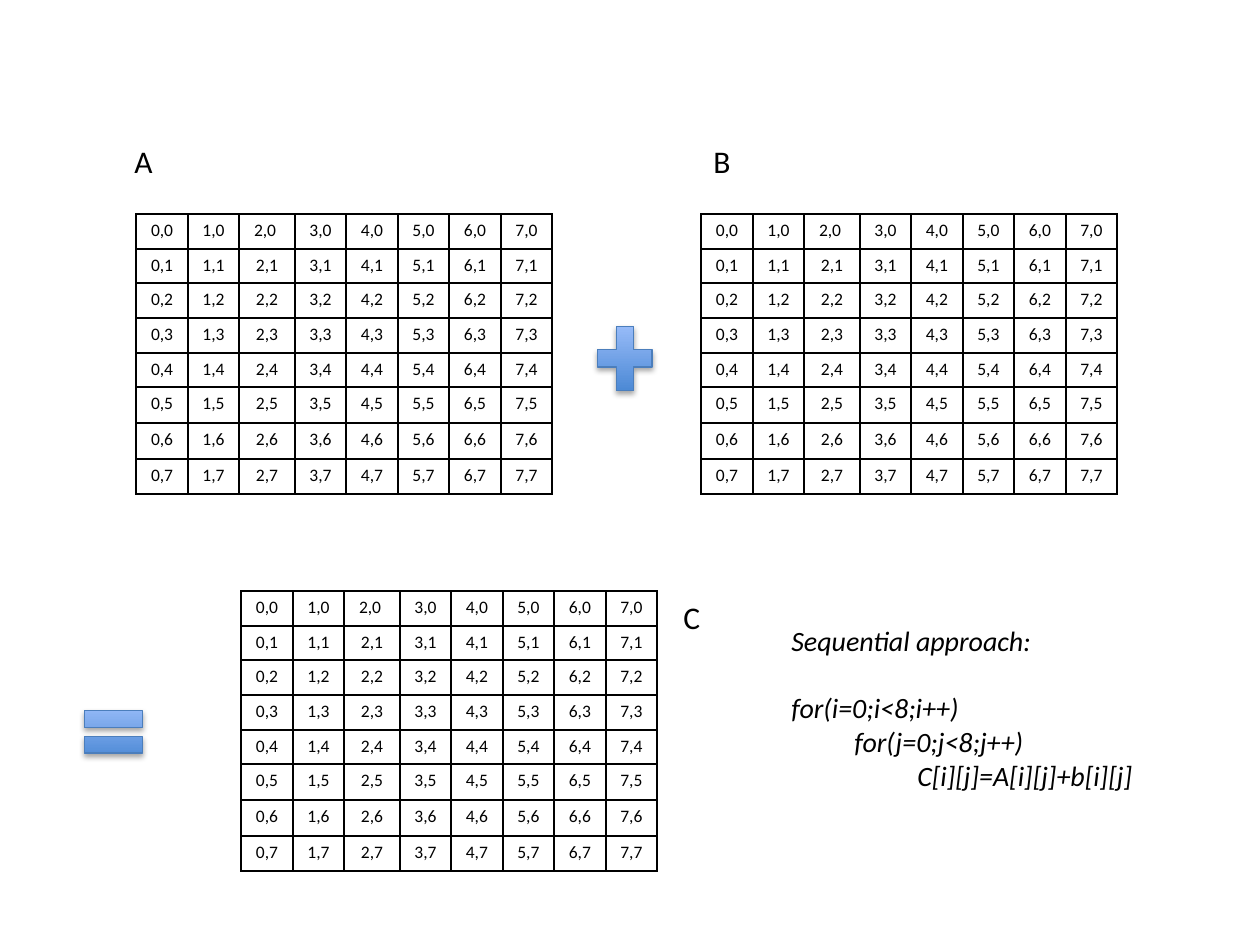
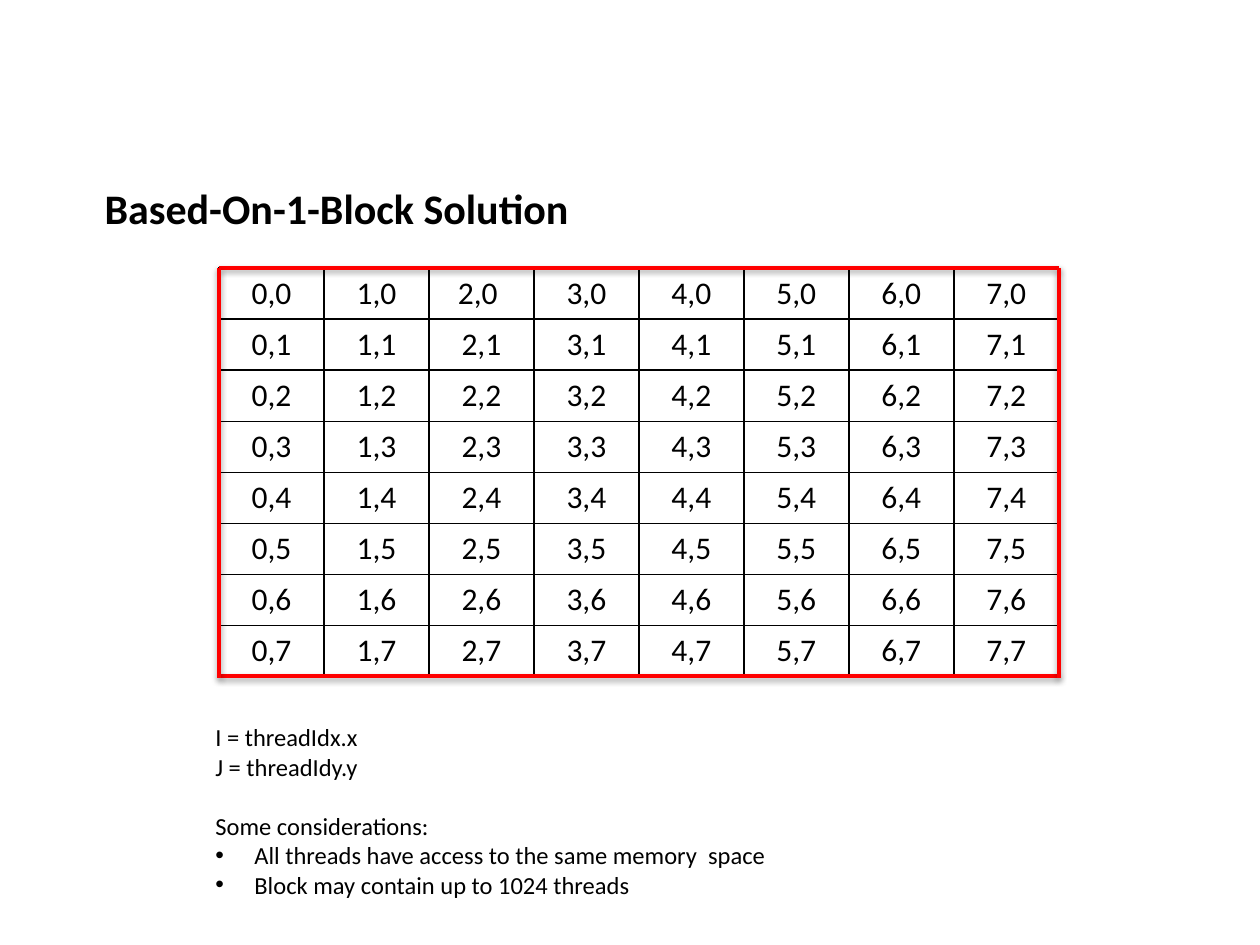
from lxml import etree
from pptx import Presentation
from pptx.dml.color import RGBColor
from pptx.enum.shapes import MSO_CONNECTOR, MSO_SHAPE
from pptx.enum.text import MSO_ANCHOR, MSO_AUTO_SIZE, PP_ALIGN
from pptx.oxml.ns import qn
from pptx.util import Emu, Pt

STRAIGHT = MSO_CONNECTOR.STRAIGHT
PLUS, EQUAL = MSO_SHAPE.MATH_PLUS, MSO_SHAPE.MATH_EQUAL
TOP = MSO_ANCHOR.TOP
NO_FIT = MSO_AUTO_SIZE.NONE
LEFT, CENTER = PP_ALIGN.LEFT, PP_ALIGN.CENTER

EMU_PER_PX = 914400 / 126
FONT = "Calibri"
BLACK, RED = "000000", "FF0000"
SIGN_DARK, SIGN_LIGHT, SIGN_EDGE = "3F80CE", "A4C4FF", "4B7EBC"

TITLE_ONLY, BLANK = 5, 6
SIZE = 8
SMALL_COLUMNS = [52, 51, 56, 51, 52, 51, 52, 51]
SMALL_ROWS = [35, 34, 35, 35, 34, 36, 36, 35]
LARGE_COLUMNS, LARGE_ROWS = [105] * SIZE, [51] * SIZE
TAB, BULLET_INDENT = 63, 39

CODE = ["Sequential approach:", "for(i=0;i<8;i++)", "\tfor(j=0;j<8;j++)",
        "\t\tC[i][j]=A[i][j]+b[i][j]"]
NOTES = ["I = threadIdx.x", "J = threadIdy.y", "Some considerations:"]
BULLETS = ["All threads have access to the same memory  space",
           "Block may contain up to 1024 threads"]


def px(length):
    return Emu(round(length * EMU_PER_PX))


def color(hex_string):
    return RGBColor.from_string(hex_string)


def add_element(parent, tag, **attributes):
    element = etree.SubElement(parent, qn(tag))
    for name, value in attributes.items():
        element.set(name, str(value))
    return element


def style(para, size, bold=False, italic=False):
    font = para.font
    font.name, font.size = FONT, Pt(size)
    font.bold, font.italic = bold, italic
    font.color.rgb = color(BLACK)


def add_shadow(shape, opacity, distance):
    effects = add_element(shape._element.spPr, "a:effectLst")
    shadow = add_element(effects, "a:outerShdw", blurRad=40000, dist=distance,
                         dir=5400000, rotWithShape=0)
    tint = add_element(shadow, "a:srgbClr", val=BLACK)
    add_element(tint, "a:alpha", val=opacity * 1000)


def add_text(page, box, lines):
    """Add a text box and return its paragraphs, one for each line."""
    frame = page.shapes.add_textbox(*map(px, box)).text_frame
    frame.word_wrap = True
    for index, line in enumerate(lines):
        para = frame.paragraphs[0] if index == 0 else frame.add_paragraph()
        para.add_run().text = line
    return frame.paragraphs


def add_cell_borders(cell):
    properties = cell._tc.get_or_add_tcPr()
    for side in ("a:lnL", "a:lnR", "a:lnT", "a:lnB"):
        border = add_element(properties, side, w=Pt(1))
        fill = add_element(border, "a:solidFill")
        add_element(fill, "a:srgbClr", val=BLACK)


def add_matrix(page, left, top, columns, rows, size):
    """Add a grid whose cells show their own column and row."""
    table = page.shapes.add_table(SIZE, SIZE, px(left), px(top),
                                  px(sum(columns)), px(sum(rows))).table
    table.first_row = table.horz_banding = False
    for column, width in zip(table.columns, columns):
        column.width = px(width)
    for y, height in enumerate(rows):
        table.rows[y].height = px(height)
        for x in range(SIZE):
            cell = table.cell(y, x)
            # The cell 2,0 carries a trailing space
            cell.text = "2,0 " if (x, y) == (2, 0) else f"{x},{y}"
            para = cell.text_frame.paragraphs[0]
            para.alignment = CENTER
            style(para, size)
            add_cell_borders(cell)
            cell.fill.background()


def add_sign(page, kind, box):
    sign = page.shapes.add_shape(kind, *map(px, box))
    sign.fill.gradient()
    sign.fill.gradient_angle = 90
    for stop, shade in zip(sign.fill.gradient_stops, (SIGN_DARK, SIGN_LIGHT)):
        stop.color.rgb = color(shade)
    for stop, position in zip(sign.fill.gradient_stops, (0, 1)):
        stop.position = position
    sign.line.color.rgb = color(SIGN_EDGE)
    sign.line.width = Pt(0.75)
    add_shadow(sign, 35, 23000)


def add_frame(page, left, top, width, height):
    """Outline a box with four red lines."""
    right, bottom = left + width, top + height
    for ends in ((left, top, right, top), (left, bottom, right, bottom),
                 (right, top, right, bottom + 2), (left, top, left, bottom + 2)):
        edge = page.shapes.add_connector(STRAIGHT, *map(px, ends))
        edge.line.color.rgb = color(RED)
        edge.line.width = Pt(2)
        add_shadow(edge, 38, 20000)


def add_code(page, box):
    paras = add_text(page, box, CODE)
    for para in paras:
        tabs = add_element(para._p.get_or_add_pPr(), "a:tabLst")
        for level in (1, 2):
            add_element(tabs, "a:tab", pos=px(TAB * level), algn="l")
        style(para, 16, italic=True)
    paras[1].space_before = Pt(19.5)


def add_notes(page, box):
    paras = add_text(page, box, NOTES + BULLETS)
    for para in paras[len(NOTES):]:
        properties = para._p.get_or_add_pPr()
        properties.set("marL", str(px(BULLET_INDENT)))
        properties.set("indent", str(px(-BULLET_INDENT)))
        add_element(properties, "a:buFont", typeface="Arial")
        add_element(properties, "a:buChar", char="•")
    for para in paras:
        style(para, 14)
    paras[2].space_before = Pt(17)


def set_title(page, text, box):
    title = page.shapes.title
    title.left, title.top, title.width, title.height = map(px, box)
    frame = title.text_frame
    frame.text = text
    frame.vertical_anchor, frame.auto_size = TOP, NO_FIT
    frame.paragraphs[0].alignment = LEFT
    style(frame.paragraphs[0], 24, bold=True)


def build_addition(deck):
    page = deck.slides.add_slide(deck.slide_layouts[BLANK])
    # Matrices
    for left, top in ((136, 214), (701, 214), (241, 591)):
        add_matrix(page, left, top, SMALL_COLUMNS, SMALL_ROWS, 10)
    # Signs
    add_sign(page, PLUS, (588, 315, 74, 87))
    add_sign(page, EQUAL, (74, 696, 79, 72))
    # Matrix names
    for name, left, top in (("A", 122, 136), ("B", 701, 136), ("C", 671, 592)):
        style(add_text(page, (left, top, 95, 50), [name])[0], 18)
    add_code(page, (779, 617, 426, 183))


def build_one_block(deck):
    page = deck.slides.add_slide(deck.slide_layouts[TITLE_ONLY])
    set_title(page, "Based-On-1-Block Solution", (92, 176, 1031, 63))
    add_matrix(page, 219, 268, LARGE_COLUMNS, LARGE_ROWS, 18)
    add_notes(page, (203, 716, 901, 190))
    add_frame(page, 219, 268, sum(LARGE_COLUMNS), sum(LARGE_ROWS))


def main():
    deck = Presentation()
    deck.slide_width, deck.slide_height = px(1260), px(945)
    build_addition(deck)
    build_one_block(deck)
    deck.save("out.pptx")


if __name__ == "__main__":
    main()
